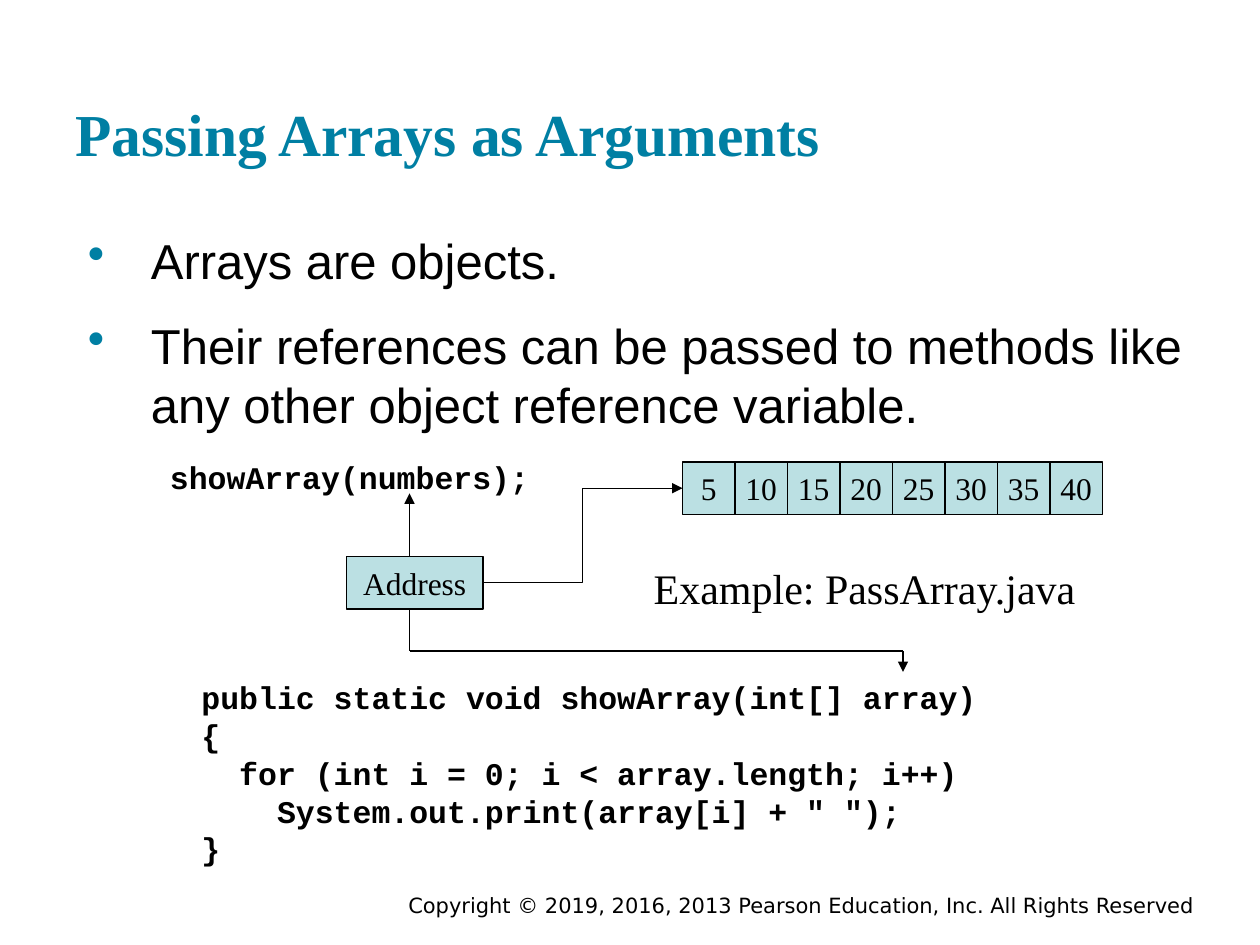
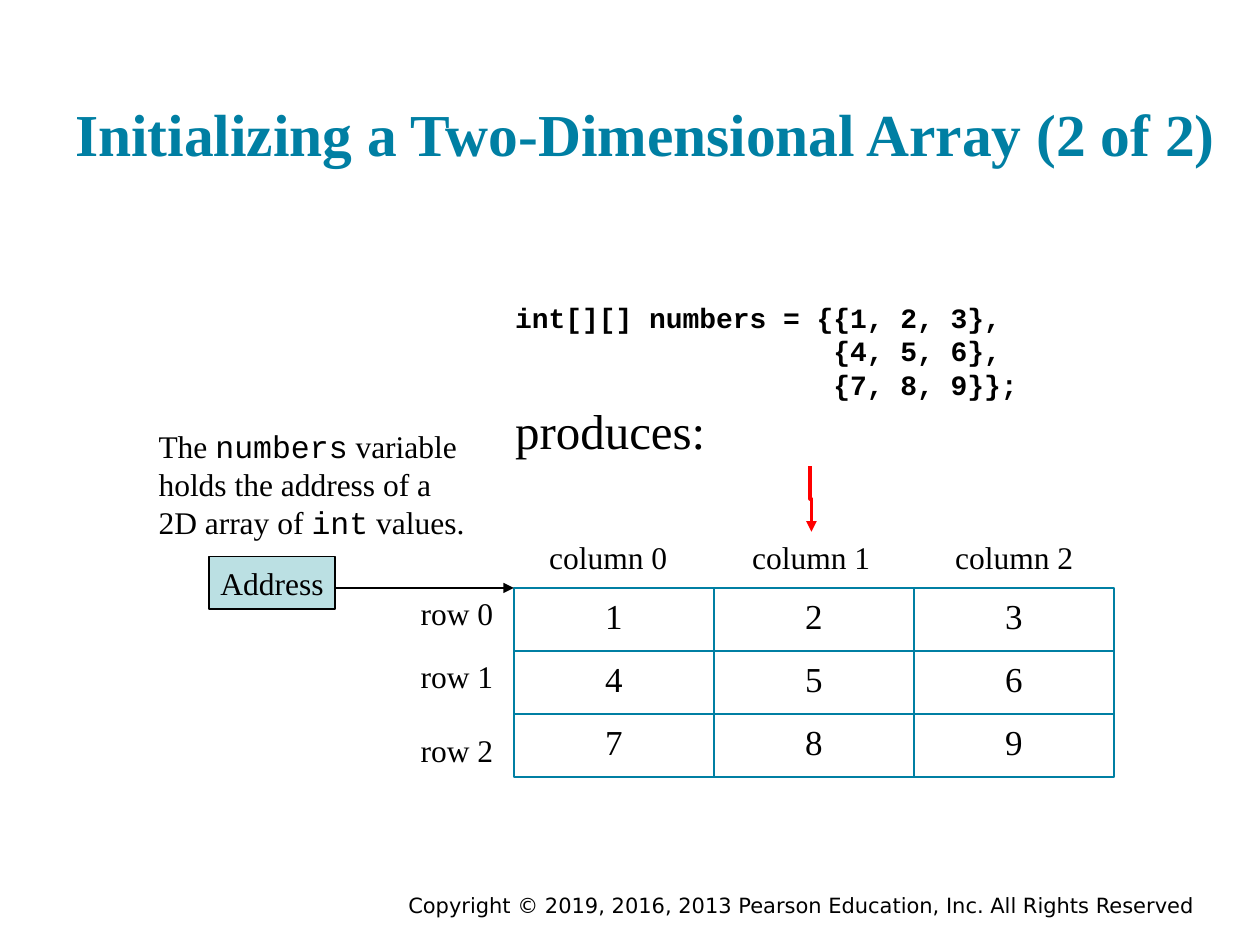
"""Build two lecture slides about passing and initializing Java arrays."""
from typing import NamedTuple

from lxml import etree
from pptx import Presentation
from pptx.dml.color import RGBColor
from pptx.enum.shapes import MSO_CONNECTOR, MSO_SHAPE
from pptx.enum.text import MSO_ANCHOR, MSO_AUTO_SIZE, PP_ALIGN
from pptx.oxml.ns import qn
from pptx.util import Pt

STRAIGHT, ELBOW = MSO_CONNECTOR.STRAIGHT, MSO_CONNECTOR.ELBOW
RECTANGLE = MSO_SHAPE.RECTANGLE
TOP, MIDDLE, BOTTOM = MSO_ANCHOR.TOP, MSO_ANCHOR.MIDDLE, MSO_ANCHOR.BOTTOM
GROW, FIXED = MSO_AUTO_SIZE.SHAPE_TO_FIT_TEXT, MSO_AUTO_SIZE.NONE
LEFT, CENTER, RIGHT = PP_ALIGN.LEFT, PP_ALIGN.CENTER, PP_ALIGN.RIGHT

TEAL, PALE_TEAL, BLACK, RED = "007FA3", "BBE0E3", "000000", "FF0000"
SERIF, SANS, MONO, FOOTER_FONT = "Times New Roman", "Arial", "Courier New", "DejaVu Sans"
LINE_HEIGHT = 1.2
COPYRIGHT = "Copyright © 2019, 2016, 2013 Pearson Education, Inc. All Rights Reserved"


class Style(NamedTuple):
    """Look of a paragraph."""
    size: float
    font: str = SERIF
    color: str = BLACK
    bold: bool = False
    align: PP_ALIGN = LEFT
    bullet: bool = False


class Area(NamedTuple):
    """Left, top, width and height in points."""
    left: float
    top: float
    width: float
    height: float


class Span(NamedTuple):
    """Piece of text with a font of its own."""
    text: str
    font: str


class Line(NamedTuple):
    """Paragraph made of spans or plain text."""
    content: str | list[Span]
    style: Style


class Link(NamedTuple):
    """Connector between two points, optionally bent, turned or headed."""
    start: tuple[float, float]
    end: tuple[float, float]
    arrow: bool = True
    kind: MSO_CONNECTOR = STRAIGHT
    color: str = BLACK
    weight: float = 0.75
    turn: int = 0


TITLE = Style(34, color=TEAL, bold=True)
BODY = Style(28, SANS, bullet=True)
FOOTER = Style(12, FOOTER_FONT, align=RIGHT)
LABEL = Style(18)
BOX_LABEL = Style(18, align=CENTER)
CELL = Style(20, align=CENTER)
CODE = Style(18, MONO, bold=True)
SMALL_CODE = Style(16, MONO, bold=True)


def rgb(color: str) -> RGBColor:
    """Turn a hex string into a colour."""
    return RGBColor.from_string(color)


def add_bullet(para) -> None:
    """Give a paragraph a teal bullet with a hanging indent."""
    properties = para._p.get_or_add_pPr()
    properties.set("marL", str(Pt(43.2)))
    properties.set("indent", str(Pt(-36)))
    bullet_color = etree.SubElement(properties, qn("a:buClr"))
    etree.SubElement(bullet_color, qn("a:srgbClr"), val=TEAL)
    etree.SubElement(properties, qn("a:buChar"), char="•")


def fill_text(frame, lines: list[Line]) -> None:
    """Write styled lines into a text frame."""
    for index, (content, style) in enumerate(lines):
        para = frame.add_paragraph() if index else frame.paragraphs[0]
        if style.bullet:
            add_bullet(para)
            if index:
                para.space_before = Pt(15)
        para.alignment = style.align
        para.line_spacing = Pt(style.size * LINE_HEIGHT)
        para.font.size = Pt(style.size)
        para.font.bold = style.bold
        para.font.color.rgb = rgb(style.color)
        if isinstance(content, str):
            para.font.name = style.font
            para.add_run().text = content
            continue
        for span in content:
            run = para.add_run()
            run.text = span.text
            run.font.name = span.font


def add_text(page, area: Area, lines: list[Line], wrap: bool = False,
             anchor: MSO_ANCHOR = TOP, inset: float = 3.6) -> None:
    """Add a text box, growing with its text unless it wraps."""
    frame = page.shapes.add_textbox(*map(Pt, area)).text_frame
    frame.word_wrap = wrap
    frame.auto_size = FIXED if wrap else GROW
    frame.vertical_anchor = anchor
    frame.margin_top = frame.margin_bottom = Pt(inset)
    fill_text(frame, lines)


def add_box(page, area: Area, text: str, style: Style = BOX_LABEL, fill: str | None = PALE_TEAL,
            outline: str = BLACK, weight: float = 0.75, anchor: MSO_ANCHOR = MIDDLE) -> None:
    """Add an outlined rectangle holding one line of text."""
    box = page.shapes.add_shape(RECTANGLE, *map(Pt, area))
    box.shadow.inherit = False
    if fill:
        box.fill.solid()
        box.fill.fore_color.rgb = rgb(fill)
    else:
        box.fill.background()
    box.line.color.rgb = rgb(outline)
    box.line.width = Pt(weight)
    box.text_frame.word_wrap = False
    box.text_frame.vertical_anchor = anchor
    fill_text(box.text_frame, [Line(text, style)])


def add_link(page, link: Link) -> None:
    """Draw a connector."""
    connector = page.shapes.add_connector(link.kind, *map(Pt, link.start + link.end))
    connector.line.color.rgb = rgb(link.color)
    connector.line.width = Pt(link.weight)
    properties = connector._element.spPr
    if link.turn:
        properties.find(qn("a:xfrm")).set("rot", str(link.turn * 60000))
    if link.arrow:
        etree.SubElement(properties.find(qn("a:ln")), qn("a:tailEnd"), type="triangle")
    etree.SubElement(properties, qn("a:effectLst"))


def add_page(deck, title: str):
    """Add a blank page with the shared title and copyright line."""
    page = deck.slides.add_slide(deck.slide_layouts[6])
    add_text(page, Area(126, 506.2, 563.8, 15.8), [Line(COPYRIGHT, FOOTER)], wrap=True)
    add_text(page, Area(36, 17.3, 678, 86.4), [Line(title, TITLE)], wrap=True,
             anchor=BOTTOM, inset=7.2)
    return page


def build_passing_page(deck) -> None:
    """Show an array reference handed to a method."""
    page = add_page(deck, "Passing Arrays as Arguments")
    points = [
        "Arrays are objects.",
        "Their references can be passed to methods like any other object reference variable.",
    ]
    add_text(page, Area(36, 124.6, 648, 356.4), [Line(point, BODY) for point in points],
             wrap=True, inset=7.2)
    for index, value in enumerate(range(5, 45, 5)):
        add_box(page, Area(390 + 30 * index, 264, 30, 30), str(value))
    add_box(page, Area(198, 318, 78, 30), "Address")
    add_text(page, Area(90, 258, 219.6, 28.8), [Line("showArray(numbers);", CODE)])
    method = [
        "public static void showArray(int[] array)",
        "{",
        "  for (int i = 0; i < array.length; i++)",
        '    System.out.print(array[i] + " ");',
        "}",
    ]
    add_text(page, Area(108, 384, 457.2, 115.2), [Line(code, CODE) for code in method])
    for link in (
        Link((276, 333), (390, 279), kind=ELBOW),
        Link((234, 318), (234, 282)),
        Link((234, 348), (234, 372), arrow=False),
        Link((234, 372), (516, 372), arrow=False),
        Link((516, 372), (516, 384)),
    ):
        add_link(page, link)
    add_text(page, Area(366.5, 318, 257, 36), [Line("Example: PassArray.java", Style(24))])


def build_initializing_page(deck) -> None:
    """Show the grid made by a two-dimensional initializer."""
    page = add_page(deck, "Initializing a Two-Dimensional Array (2 of 2)")
    initializer = [
        "int[][] numbers = {{1, 2, 3},",
        "                   {4, 5, 6},",
        "                   {7, 8, 9}};",
    ]
    add_text(page, Area(287.3, 168, 301.7, 98.6),
             [Line(code, SMALL_CODE) for code in initializer] + [Line("produces:", Style(28))])
    for index in range(9):
        row, column = divmod(index, 3)
        add_box(page, Area(293.6 + 114.3 * column, 336 + 36 * row, 114.3, 36), str(index + 1),
                CELL, fill=None, outline=TEAL, weight=1, anchor=TOP)
    for index, row_top in enumerate((336, 372, 414)):
        add_text(page, Area(306.7 + 116 * index, 304, 82, 28.8), [Line(f"column {index}", LABEL)])
        add_text(page, Area(233.3, row_top, 58, 28.8), [Line(f"row {index}", LABEL)])
    add_box(page, Area(119.5, 318, 72, 30), "Address")
    add_text(page, Area(83.5, 240.5, 190, 72), [
        Line([Span("The ", SERIF), Span("numbers", MONO), Span(" variable", SERIF)], LABEL),
        Line("holds the address of a", LABEL),
        Line([Span("2D array of ", SERIF), Span("int", MONO), Span(" values.", SERIF)], LABEL),
    ])
    add_link(page, Link((191.5, 336), (293.6, 336)))
    add_link(page, Link((482, 284.8), (444.6, 285.5), kind=ELBOW, color=RED, weight=2, turn=270))


def main() -> None:
    """Build and save the deck."""
    deck = Presentation()
    deck.slide_width, deck.slide_height = Pt(720), Pt(540)
    build_passing_page(deck)
    build_initializing_page(deck)
    deck.save("out.pptx")


if __name__ == "__main__":
    main()
